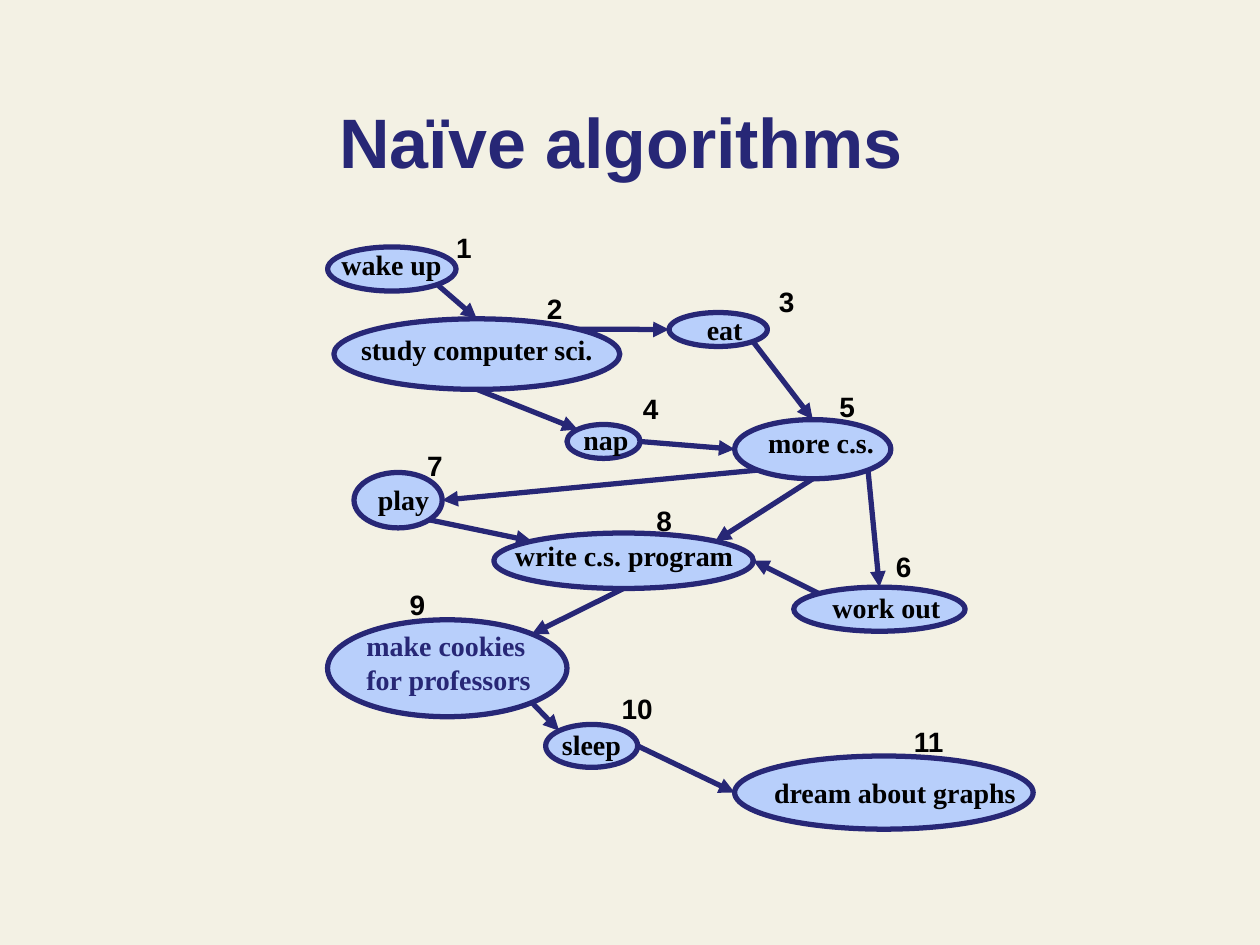
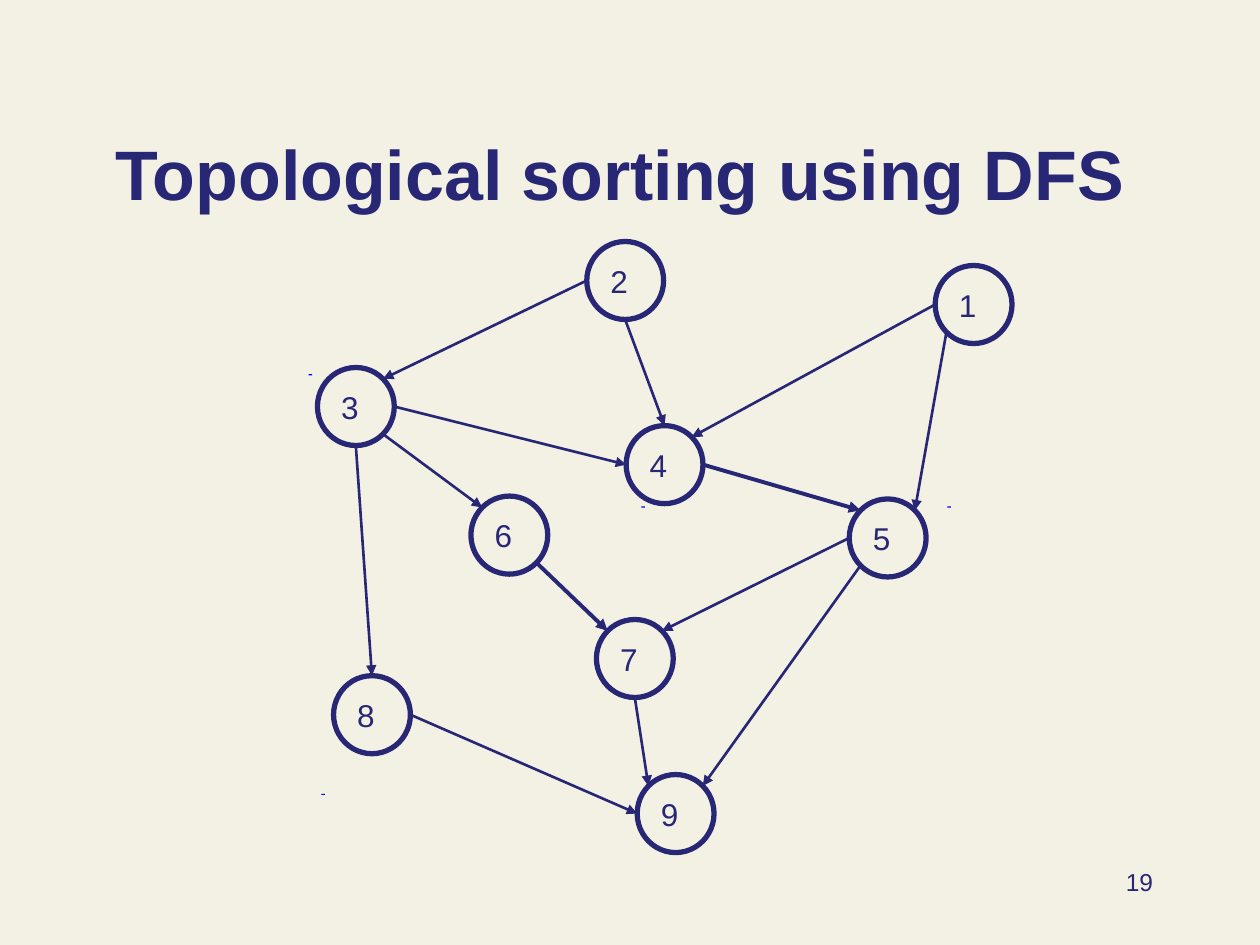
"""Build two slides on topological sorting: a day's plan as a graph, and a graph for DFS."""
from lxml import etree
from pptx import Presentation
from pptx.dml.color import RGBColor
from pptx.enum.shapes import MSO_CONNECTOR, MSO_SHAPE
from pptx.enum.text import MSO_ANCHOR, PP_ALIGN
from pptx.oxml.ns import qn
from pptx.util import Pt

OVAL, RECT = MSO_SHAPE.OVAL, MSO_SHAPE.RECTANGLE
STRAIGHT = MSO_CONNECTOR.STRAIGHT
LEFT, CENTER, RIGHT = PP_ALIGN.LEFT, PP_ALIGN.CENTER, PP_ALIGN.RIGHT
TOP, MIDDLE, BOTTOM = MSO_ANCHOR.TOP, MSO_ANCHOR.MIDDLE, MSO_ANCHOR.BOTTOM

SANS, SERIF = "Arial", "Times New Roman"
THEME = {
    "paper": RGBColor(0xF3, 0xF1, 0xE4),
    "navy": RGBColor(0x27, 0x27, 0x76),
    "sky": RGBColor(0xB8, 0xCF, 0xFB),
    "blue": RGBColor(0x00, 0x00, 0xFF),
    "black": RGBColor(0x00, 0x00, 0x00),
    "outline": 3,
    "thin": 1.5,
    "medium": 2.25,
}
PADDED = {"margin_left": Pt(7.2), "margin_right": Pt(7.2),
          "margin_top": Pt(3.6), "margin_bottom": Pt(3.6), "word_wrap": True}
TIGHT = {**dict.fromkeys(PADDED, 0), "word_wrap": False, "vertical_anchor": TOP}
STYLES = {
    "title": ({**PADDED, "vertical_anchor": BOTTOM}, CENTER, "navy",
              {"name": SANS, "size": Pt(40), "bold": True}),
    "page": ({**PADDED, "vertical_anchor": TOP}, RIGHT, "navy",
             {"name": SANS, "size": Pt(14), "bold": False}),
    "node": ({**PADDED, "vertical_anchor": MIDDLE}, LEFT, "navy",
             {"name": SANS, "size": Pt(18), "bold": False}),
    "task": (TIGHT, LEFT, "black", {"name": SERIF, "size": Pt(16), "bold": True}),
    "reward": ({**PADDED, "vertical_anchor": TOP}, LEFT, "navy",
               {"name": SERIF, "size": Pt(16), "bold": True}),
    "order": (TIGHT, LEFT, "black", {"name": SANS, "size": Pt(16), "bold": True}),
}

DIAG = 0.707
SITES = {"T": (0, -1), "B": (0, 1), "L": (-1, 0), "R": (1, 0),
         "TL": (-DIAG, -DIAG), "TR": (DIAG, -DIAG),
         "BL": (-DIAG, DIAG), "BR": (DIAG, DIAG)}


def write(sp, text, style):
    """Put text in a shape with a named style."""
    frame, align, color, font = STYLES[style]
    tf = sp.text_frame
    for name, value in frame.items():
        setattr(tf, name, value)
    p = tf.paragraphs[0]
    p.alignment = align
    r = p.add_run()
    r.text = text
    r.font.color.rgb = THEME[color]
    for name, value in font.items():
        setattr(r.font, name, value)


def site(box, name):
    """Return the point of a named site on the ellipse in a box."""
    x, y, w, h = box
    dx, dy = SITES[name]
    return Pt(x + w / 2 * (1 + dx)), Pt(y + h / 2 * (1 + dy))


TASKS = {
    1: (187.2, 141.1, 73.4, 25.2),
    2: (190.8, 182.2, 163.4, 40.3),
    3: (382.3, 178.6, 56.2, 19.4),
    4: (324, 242.6, 41.8, 19.4),
    5: (419.8, 239.8, 89.3, 33.8),
    6: (453.6, 335.5, 97.9, 25.2),
    7: (202.3, 270, 50.4, 31.7),
    8: (282.2, 304.6, 148.3, 31.7),
    9: (187.2, 354.2, 136.8, 55.4),
    10: (311.8, 414, 52.6, 24.5),
    11: (419.8, 432, 170.6, 41.8),
}
TASK_LINKS = [
    (1, "BR", 2, "T"), (2, "TR", 3, "L"), (2, "B", 4, "TL"), (3, "BR", 5, "T"),
    (4, "R", 5, "L"), (5, "B", 8, "TR"), (5, "BL", 7, "R"), (5, "BR", 6, "T"),
    (6, "TL", 8, "R"), (7, "BR", 8, "TL"), (8, "B", 9, "TR"), (9, "BR", 10, "TL"),
    (10, "R", 11, "L"),
]
TASK_NAMES = [
    ("wake up", 195.1, 141.3, 60),
    ("study computer sci.", 206.4, 190.1, 136),
    ("eat", 403.9, 178.6, 26),
    ("nap", 333.4, 241.2, 49),
    ("more c.s.", 439, 242.9, 64),
    ("work out", 475.7, 337.7, 65),
    ("play", 216, 275.8, 33),
    ("write c.s. program", 294.3, 307.7, 128),
    ("sleep", 321.1, 415.6, 38),
    ("dream about graphs", 442.3, 443, 142),
]
ORDER_SPOTS = [
    (260.6, 131.8), (312.5, 166.6), (445, 162.7), (367.4, 223.9), (479.7, 222.5),
    (511.9, 313.9), (244.1, 256.3), (375.1, 288), (234, 336), (355.2, 395.3),
    (522.2, 414),
]
LINE_H = 19.4
task_labels = [(name, (x, y, w, LINE_H), "task") for name, x, y, w in TASK_NAMES]
task_labels += [(str(i), (x, y, 10 * len(str(i)), LINE_H), "order")
                for i, (x, y) in enumerate(ORDER_SPOTS, 1)]
task_labels.append(("make cookies for professors", (202.3, 355.7, 123.8, 46.1), "reward"))

NODE_SPOTS = [(534.4, 151.7), (335.3, 138), (181.4, 210), (357.8, 243.2),
              (485.3, 285.1), (269.1, 283.5), (340.8, 354), (190.6, 386.1),
              (364.1, 442.6)]
NODES = {i: (x, y, 43.9, 44.6) for i, (x, y) in enumerate(NODE_SPOTS, 1)}
NODE_LINKS = [
    (2, "L", 3, "TR"), (2, "B", 4, "T"), (1, "L", 4, "TR"), (5, "L", 7, "TR"),
    (5, "BL", 9, "TR"), (8, "R", 9, "L"), (7, "B", 9, "TL"), (6, "BR", 7, "TL"),
    (3, "BR", 6, "TL"), (3, "B", 8, "T"), (3, "R", 4, "L"), (4, "R", 5, "TL"),
    (1, "BL", 5, "TR"),
]
MEDIUM_LINKS = [(6, 7), (4, 5)]
DASHES = [(176.4, 213.8), (366.5, 289.4), (541.4, 289.4), (183.6, 453.6)]

SLIDES = [
    {"title": "Naïve algorithms", "title_at": (49, 18), "fill": "sky",
     "nodes": TASKS, "numbered": False, "links": TASK_LINKS, "weight": "outline",
     "heavy": [], "dashes": [], "labels": task_labels},
    {"title": "Topological sorting using DFS", "title_at": (48.2, 36), "fill": "paper",
     "nodes": NODES, "numbered": True, "links": NODE_LINKS, "weight": "thin",
     "heavy": MEDIUM_LINKS, "dashes": DASHES,
     "labels": [("19", (516.2, 491.8, 149.8, 36), "page")]},
]

prs = Presentation()
prs.slide_width, prs.slide_height = Pt(720), Pt(540)

for page in SLIDES:
    s = prs.slides.add_slide(prs.slide_layouts[6])
    s.background.fill.solid()
    s.background.fill.fore_color.rgb = THEME["paper"]

    for x, y in page["dashes"]:
        sp = s.shapes.add_shape(RECT, Pt(x), Pt(y), Pt(2), Pt(0.7))
        sp.shadow.inherit = False
        sp.fill.solid()
        sp.fill.fore_color.rgb = THEME["blue"]
        sp.line.fill.background()

    for number, box in page["nodes"].items():
        sp = s.shapes.add_shape(OVAL, *map(Pt, box))
        sp.shadow.inherit = False
        sp.fill.solid()
        sp.fill.fore_color.rgb = THEME[page["fill"]]
        sp.line.color.rgb = THEME["navy"]
        sp.line.width = Pt(THEME["outline"])
        if page["numbered"]:
            write(sp, str(number), "node")

    for start, start_site, end, end_site in page["links"]:
        weight = "medium" if (start, end) in page["heavy"] else page["weight"]
        arrow = s.shapes.add_connector(STRAIGHT, *site(page["nodes"][start], start_site),
                                       *site(page["nodes"][end], end_site))
        arrow.line.color.rgb = THEME["navy"]
        arrow.line.width = Pt(THEME[weight])
        sp_pr = arrow._element.spPr
        etree.SubElement(sp_pr.find(qn("a:ln")), qn("a:tailEnd"), type="triangle")
        etree.SubElement(sp_pr, qn("a:effectLst"))

    title = (page["title"], (*page["title_at"], 612, 90), "title")
    for text, box, style in [title, *page["labels"]]:
        write(s.shapes.add_textbox(*map(Pt, box)), text, style)

prs.save("out.pptx")
